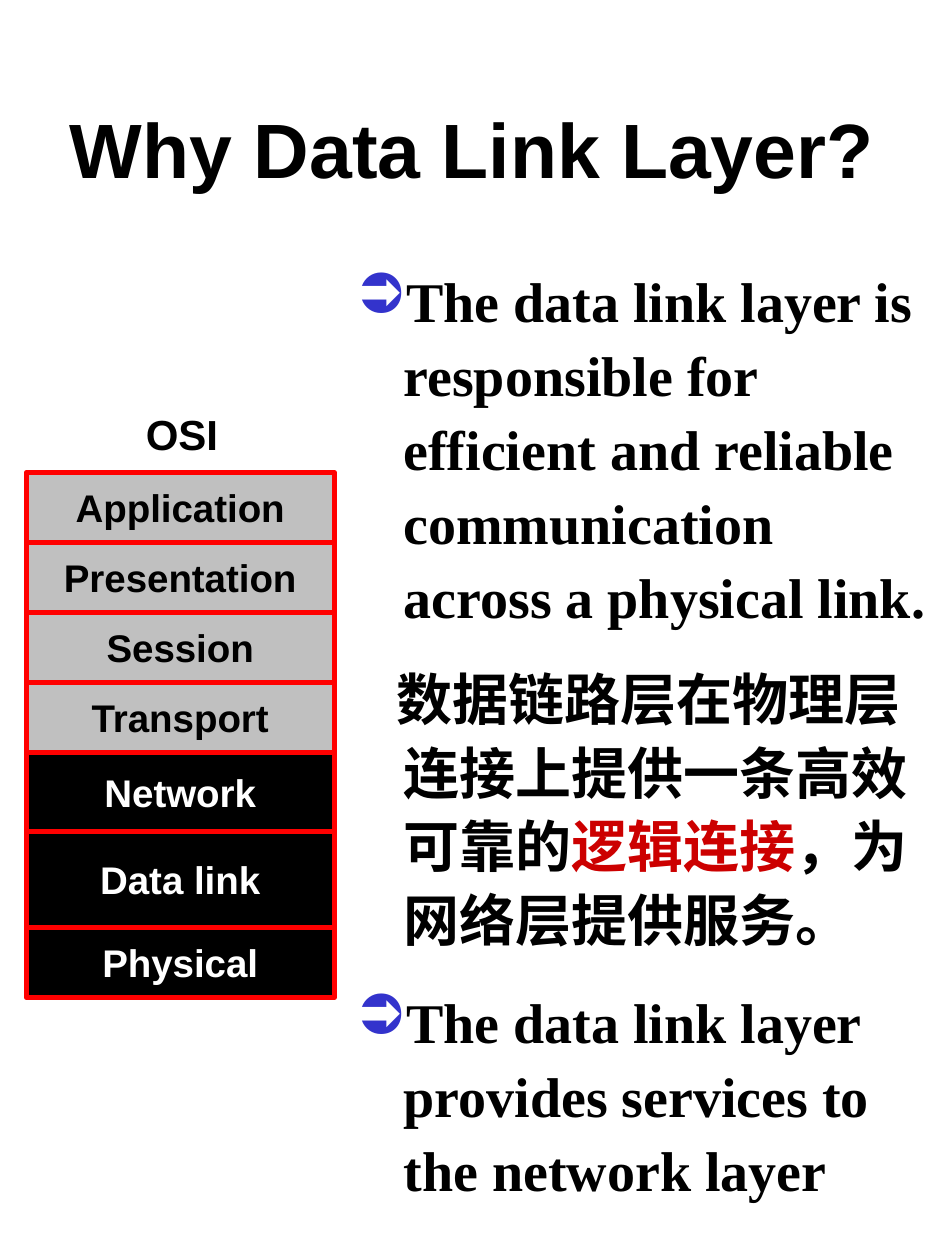
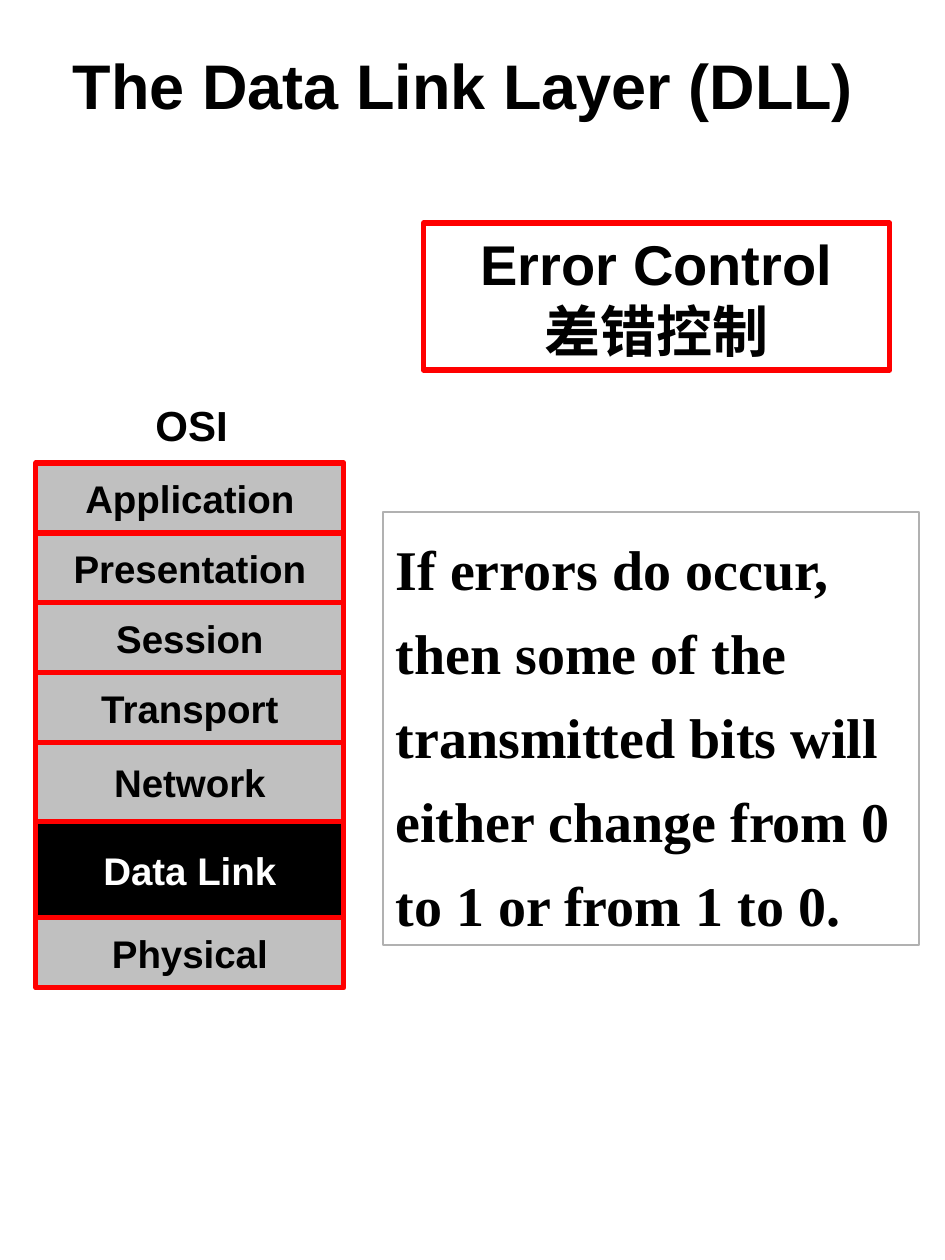
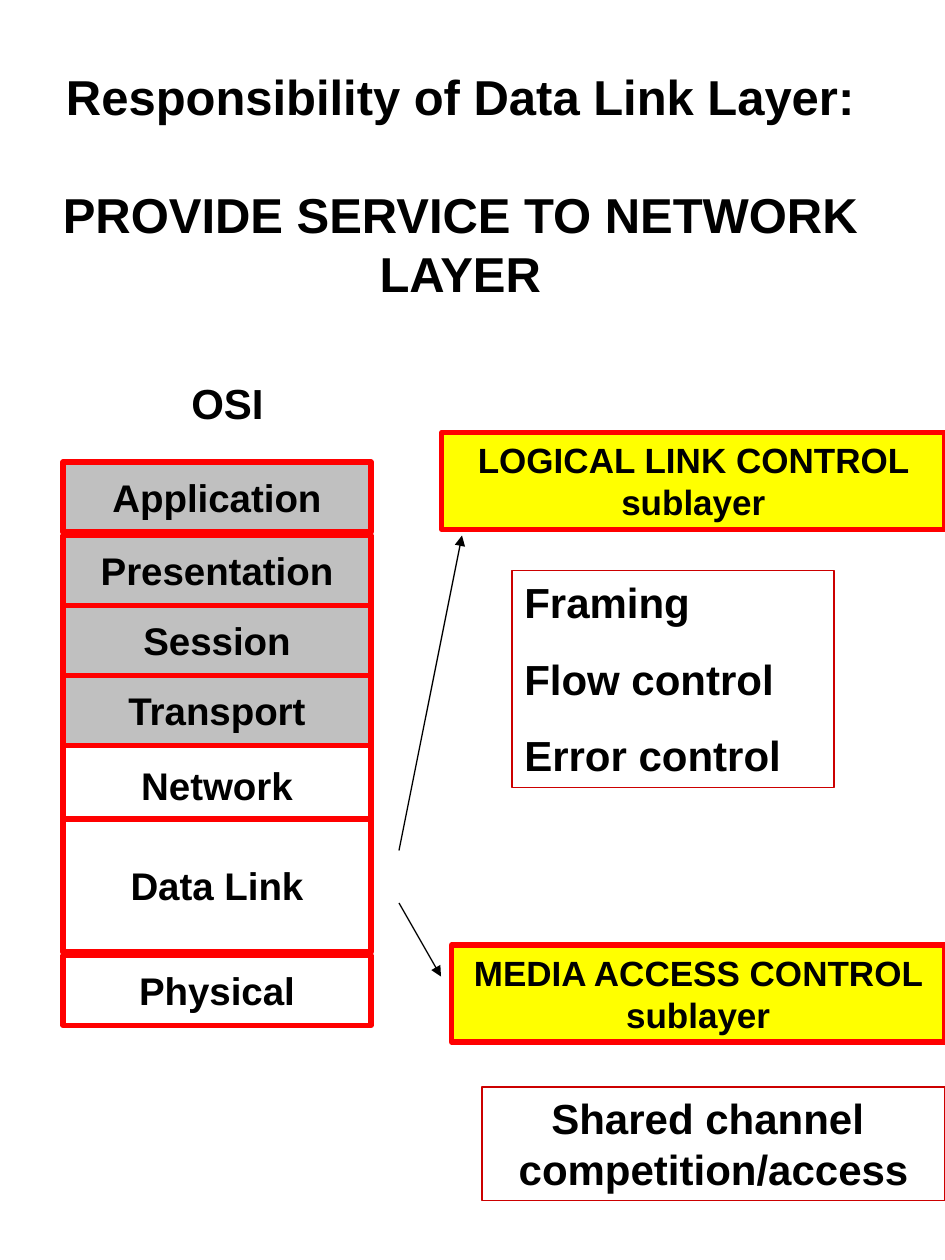
from collections import namedtuple
from dataclasses import dataclass

from lxml.etree import SubElement
from pptx import Presentation
from pptx.dml.color import RGBColor as Rgb
from pptx.enum.shapes import MSO_CONNECTOR as Connector, MSO_SHAPE as Preset
from pptx.enum.text import MSO_ANCHOR as Anchor, MSO_AUTO_SIZE as AutoSize, PP_ALIGN as Align
from pptx.oxml.ns import qn
from pptx.util import Pt

Box = namedtuple("Box", "left top width height")


@dataclass(frozen=True)
class Theme:
    black: str = "000000"
    white: str = "FFFFFF"
    gray: str = "C0C0C0"
    pale_gray: str = "B1B1B1"
    red: str = "FF0000"
    dark_red: str = "CC0000"
    yellow: str = "FFFF00"
    blue: str = "3333CC"
    sans: str = "Arial"
    serif: str = "Times New Roman"
    layer_size: int = 22
    label_size: int = 24
    sublayer_size: int = 20
    body_size: int = 32
    border: float = 3
    thin: float = 1
    arrow: float = 0.75


THEME = Theme()
LAYERS = ("Application", "Presentation", "Session", "Transport", "Network", "Data Link", "Physical")
LAYER_WIDTH = 176
LAYER_HEIGHT = 40


def add_span(para, text, size, color=THEME.black, font=THEME.sans):
    span = para.add_run()
    span.text = text
    span.font.name = font
    span.font.size = Pt(size)
    span.font.bold = True
    span.font.color.rgb = Rgb.from_string(color)


def prepare_frame(frame, anchor=Anchor.TOP, wrap=True):
    frame.auto_size = AutoSize.NONE
    frame.word_wrap = wrap
    frame.vertical_anchor = anchor
    frame.margin_left = frame.margin_right = Pt(7.2)
    frame.margin_top = frame.margin_bottom = Pt(3.6)
    return frame


def write_lines(frame, lines, size, align=Align.CENTER, color=THEME.black, font=THEME.sans,
                before=0, after=0, spacing=1.0):
    for index, line in enumerate(lines):
        para = frame.add_paragraph() if index else frame.paragraphs[0]
        para.alignment = align
        para.line_spacing = spacing
        para.space_before = Pt(before if index else 0)
        para.space_after = Pt(after)
        add_span(para, line, size, color, font)


def add_title(page, box, lines, size, gap=0):
    title = page.shapes.title
    title.left, title.top, title.width, title.height = map(Pt, box)
    frame = prepare_frame(title.text_frame, Anchor.MIDDLE)
    write_lines(frame, lines, size, before=gap)


def add_panel(page, box, line_color, line_width, fill=None, anchor=Anchor.TOP, wrap=True):
    panel = page.shapes.add_shape(Preset.RECTANGLE, *map(Pt, box))
    panel.shadow.inherit = False
    if fill:
        panel.fill.solid()
        panel.fill.fore_color.rgb = Rgb.from_string(fill)
    else:
        panel.fill.background()
    panel.line.color.rgb = Rgb.from_string(line_color)
    panel.line.width = Pt(line_width)
    return prepare_frame(panel.text_frame, anchor, wrap)


def add_osi_stack(page, left, top, fills, names=LAYERS, network_height=45, link_height=55,
                  steps=(40, 40, 40, 40, 45, 55), label_shift=1, label_rise=42):
    label = page.shapes.add_textbox(Pt(left + label_shift), Pt(top - label_rise),
                                    Pt(LAYER_WIDTH), Pt(LAYER_HEIGHT))
    write_lines(prepare_frame(label.text_frame, Anchor.MIDDLE, False), ["OSI"], THEME.label_size)
    heights = [LAYER_HEIGHT] * 4 + [network_height, link_height, LAYER_HEIGHT]
    for index, (name, fill, height) in enumerate(zip(names, fills, heights)):
        box = Box(left, top + sum(steps[:index]), LAYER_WIDTH, height)
        frame = add_panel(page, box, THEME.red, THEME.border, fill, Anchor.MIDDLE, False)
        color = THEME.white if fill == THEME.black else THEME.black
        write_lines(frame, [name], THEME.layer_size, color=color)


def add_bullet(para):
    properties = para._p.get_or_add_pPr()
    color = SubElement(properties, qn("a:buClr"))
    SubElement(color, qn("a:srgbClr"), val=THEME.blue)
    SubElement(properties, qn("a:buChar"), char="➲")


def add_reasons(page, box, reasons):
    frame = prepare_frame(page.shapes.add_textbox(*map(Pt, box)).text_frame)
    for index, (bulleted, first_indent, spans) in enumerate(reasons):
        para = frame.add_paragraph() if index else frame.paragraphs[0]
        properties = para._p.get_or_add_pPr()
        properties.set("marL", str(Pt(27)))
        properties.set("indent", str(Pt(first_indent)))
        if bulleted:
            add_bullet(para)
        para.line_spacing = 1.1
        para.space_before = Pt(8 if index else 0)
        para.space_after = Pt(8)
        for text, color in spans:
            add_span(para, text, THEME.body_size, color, THEME.serif)


def add_arrow(page, start, end):
    arrow = page.shapes.add_connector(Connector.STRAIGHT, *map(Pt, start + end))
    arrow.line.color.rgb = Rgb.from_string(THEME.black)
    arrow.line.width = Pt(THEME.arrow)
    SubElement(arrow.line._get_or_add_ln(), qn("a:tailEnd"), type="triangle")
    SubElement(arrow._element.spPr, qn("a:effectLst"))


def build_why_page(page):
    add_title(page, Box(0, 25, 540, 119), ["Why Data Link Layer?"], 44)
    names = [name.replace("Link", "link") for name in LAYERS]
    add_osi_stack(page, 15, 270, [THEME.gray] * 4 + [THEME.black] * 3, names)
    add_reasons(page, Box(196.5, 145, 343.5, 556), [
        (True, -27, [("The data link layer is responsible for efficient and reliable "
                      "communication across a physical link.", THEME.black)]),
        (False, -4, [("数据链路层在物理层连接上提供一条高效可靠的", THEME.black),
                     ("逻辑连接", THEME.dark_red),
                     ("，为网络层提供服务。", THEME.black)]),
        (True, -27, [("The data link layer provides services to the network layer",
                      THEME.black)]),
    ])


def build_error_page(page):
    add_title(page, Box(16, 0, 507.5, 96), ["The Data Link Layer (DLL) "], 36)
    errors = add_panel(page, Box(219, 292.5, 306, 247.5), THEME.pale_gray, THEME.thin)
    write_lines(errors, ["If errors do occur, then some of the transmitted bits will "
                         "either change from 0 to 1 or from 1 to 0."],
                THEME.body_size, Align.LEFT, font=THEME.serif, after=6, spacing=1.25)
    heading = add_panel(page, Box(242, 127.5, 266.5, 84), THEME.red, THEME.border)
    write_lines(heading, ["Error Control", "差错控制"], THEME.body_size)
    add_osi_stack(page, 20.5, 264.5, [THEME.gray] * 5 + [THEME.black, THEME.gray])


def build_service_page(page):
    add_title(page, Box(16, 19, 494, 173),
              ["Responsibility of Data Link Layer:", "PROVIDE SERVICE TO NETWORK LAYER"],
              28, gap=33.7)
    add_osi_stack(page, 36, 264, [THEME.gray] * 4 + [THEME.white] * 3, link_height=76,
                  steps=(42, 40, 40, 40, 42, 78), label_shift=6, label_rise=54)
    duties = add_panel(page, Box(292.5, 326, 184, 124), THEME.dark_red, THEME.thin)
    write_lines(duties, ["Framing", "Flow control", "Error control"],
                THEME.label_size, Align.LEFT, before=15)
    channel = add_panel(page, Box(275.5, 621, 264.5, 65), THEME.dark_red, THEME.thin)
    write_lines(channel, ["Shared channel ", "competition/access"], THEME.label_size)
    for name, box in (("MEDIA ACCESS CONTROL", Box(258, 540, 282, 55.5)),
                      ("LOGICAL LINK CONTROL", Box(252.5, 247, 287.5, 55.5))):
        sublayer = add_panel(page, box, THEME.red, THEME.border, THEME.yellow)
        write_lines(sublayer, [f"{name} sublayer"], THEME.sublayer_size)
    add_arrow(page, (228, 516), (252, 558))
    add_arrow(page, (228, 486), (264, 306))


def main():
    deck = Presentation()
    deck.slide_width, deck.slide_height = Pt(540), Pt(720)
    title_only = deck.slide_layouts[5]
    for build_page in (build_why_page, build_error_page, build_service_page):
        build_page(deck.slides.add_slide(title_only))
    deck.save("out.pptx")


if __name__ == "__main__":
    main()
